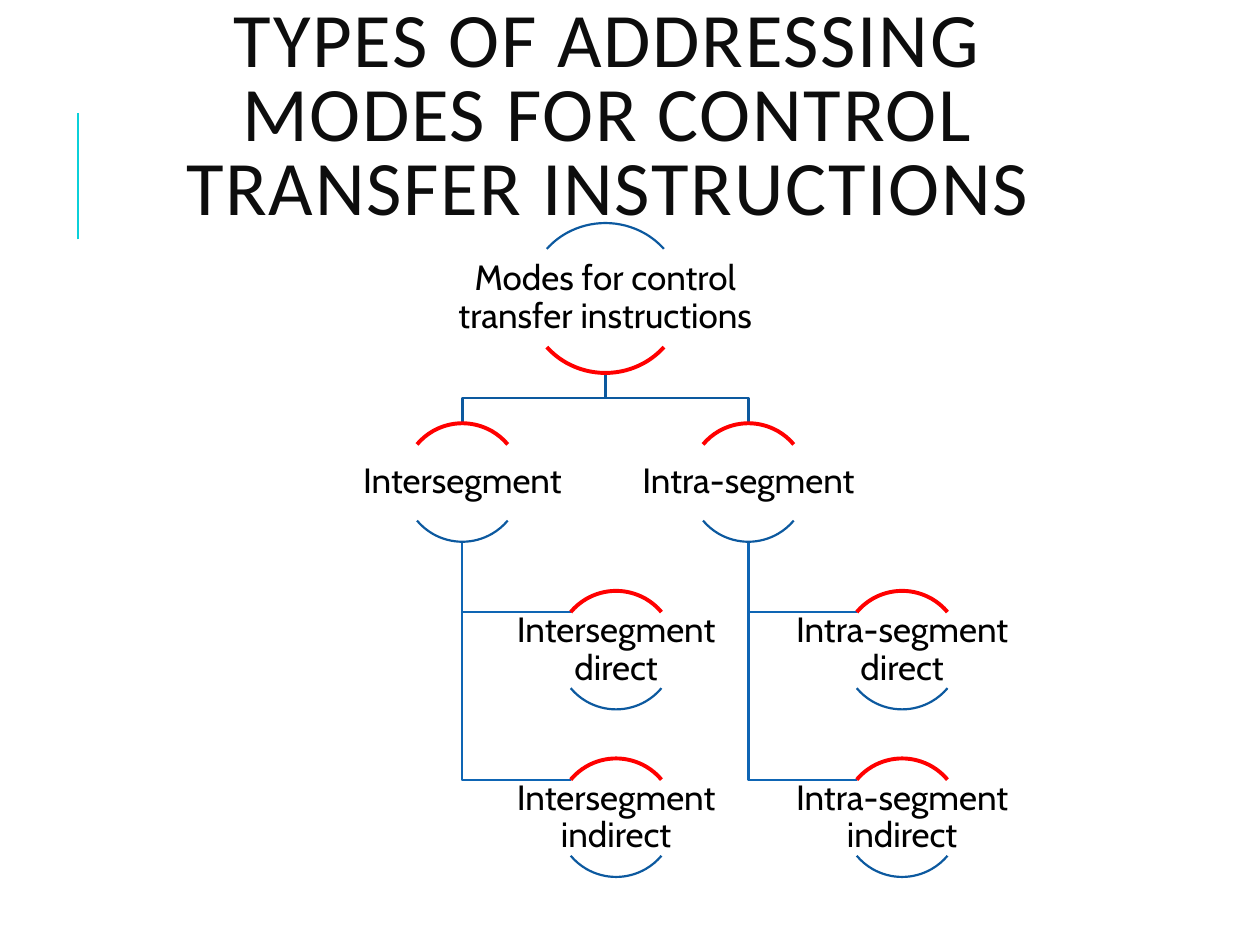
"""Build a slide with a tree of addressing modes for control transfer instructions."""
from lxml import etree
from pptx import Presentation
from pptx.dml.color import RGBColor
from pptx.enum.shapes import MSO_CONNECTOR, MSO_SHAPE
from pptx.enum.text import MSO_ANCHOR, PP_ALIGN
from pptx.oxml.ns import qn
from pptx.util import Pt

ARC = MSO_SHAPE.ARC
STRAIGHT = MSO_CONNECTOR.STRAIGHT
MIDDLE = MSO_ANCHOR.MIDDLE
CENTER = PP_ALIGN.CENTER

TURQUOISE = RGBColor(0x0B, 0xD0, 0xD9)
DARK_BLUE = RGBColor(0x0C, 0x59, 0x9F)
BLUE = RGBColor(0x0E, 0x65, 0xB4)
RED = RGBColor(0xFF, 0x00, 0x00)
BLACK = RGBColor(0x00, 0x00, 0x00)
TITLE_COLOR = RGBColor(0x0D, 0x0D, 0x0D)

ROOT_X, ROOT_TOP, ROOT_WIDTH, ROOT_HEIGHT = 345.96, 127.44, 88.56, 85.68
NODE_SIZE = 67.68
BRANCH_TOP = 241.92
ROW_STEP = 95.76
CHILD_SHIFT = 87.84
CHILD_LINK = 61.92
TEXT_OFFSET = 0.18
BRANCHES = [(264.24, "Intersegment"), (427.68, "Intra-segment")]
CHILDREN = ["direct", "indirect"]

presentation = Presentation()
presentation.slide_width = Pt(720)
presentation.slide_height = Pt(540)
slide = presentation.slides.add_slide(presentation.slide_layouts[6])


def add_link(points, color):
    corners = [(Pt(x), Pt(y)) for x, y in points]
    builder = slide.shapes.build_freeform(*corners[0])
    builder.add_line_segments(corners[1:], close=False)
    shape = builder.convert_to_shape()
    shape.shadow.inherit = False
    shape.fill.background()
    shape.line.color.rgb = color
    shape.line.width = Pt(1.25)


def add_node(text, center, top, width, height, upper, lower):
    for start, end, (color, weight) in [(132, 192, upper), (24, 84, lower)]:
        arc = slide.shapes.add_shape(ARC, Pt(center - width / 2), Pt(top), Pt(width), Pt(height))
        arc.adjustments[0] = start
        arc.adjustments[1] = end
        arc.shadow.inherit = False
        arc.fill.background()
        arc.line.color.rgb = color
        arc.line.width = Pt(weight)
    label = slide.shapes.add_textbox(
        Pt(center - width), Pt(top + TEXT_OFFSET * height), Pt(2 * width), Pt(0.64 * height))
    frame = label.text_frame
    frame.word_wrap = True
    frame.vertical_anchor = MIDDLE
    frame.margin_left = frame.margin_right = frame.margin_top = frame.margin_bottom = Pt(1)
    frame.text = text
    paragraph = frame.paragraphs[0]
    paragraph.alignment = CENTER
    paragraph.line_spacing = 0.9
    font = paragraph.runs[0].font
    font.name = "Cabin"
    font.size = Pt(20)
    font.color.rgb = BLACK


accent = slide.shapes.add_connector(STRAIGHT, Pt(44.64), Pt(136.8), Pt(44.64), Pt(64.8))
accent.line.color.rgb = TURQUOISE
accent.line.width = Pt(1.5)
etree.SubElement(accent._element.spPr, qn("a:effectLst"))

title = slide.shapes.add_textbox(Pt(60.48), Pt(9.36), Pt(573.84), Pt(118.08))
title_frame = title.text_frame
title_frame.word_wrap = True
title_frame.vertical_anchor = MIDDLE
title_frame.text = "TYPES OF ADDRESSING MODES FOR CONTROL TRANSFER INSTRUCTIONS"
title_paragraph = title_frame.paragraphs[0]
title_paragraph.alignment = CENTER
title_paragraph.line_spacing = 0.8
title_font = title_paragraph.runs[0].font
title_font.name = "Calibri"
title_font.size = Pt(44)
title_font.color.rgb = TITLE_COLOR
title_paragraph.runs[0]._r.get_or_add_rPr().set("spc", "100")

child_tops = [BRANCH_TOP + ROW_STEP * row for row in range(1, len(CHILDREN) + 1)]
root_bottom = ROOT_TOP + ROOT_HEIGHT
branch_bottom = BRANCH_TOP + NODE_SIZE
fork_y = (root_bottom + BRANCH_TOP) / 2
for center, name in BRANCHES:
    for top in child_tops:
        link_y = top + TEXT_OFFSET * NODE_SIZE
        add_link([(center, branch_bottom), (center, link_y), (center + CHILD_LINK, link_y)], BLUE)
    add_link([(ROOT_X, root_bottom), (ROOT_X, fork_y), (center, fork_y), (center, BRANCH_TOP)],
             DARK_BLUE)

thin_blue = (DARK_BLUE, 1.25)
thick_red = (RED, 2.25)
add_node("Modes for control transfer instructions", ROOT_X, ROOT_TOP, ROOT_WIDTH, ROOT_HEIGHT,
         thin_blue, thick_red)
for center, name in BRANCHES:
    add_node(name, center, BRANCH_TOP, NODE_SIZE, NODE_SIZE, thick_red, thin_blue)
    for child, top in zip(CHILDREN, child_tops):
        add_node(f"{name} {child}", center + CHILD_SHIFT, top, NODE_SIZE, NODE_SIZE,
                 thick_red, thin_blue)

presentation.save("out.pptx")
